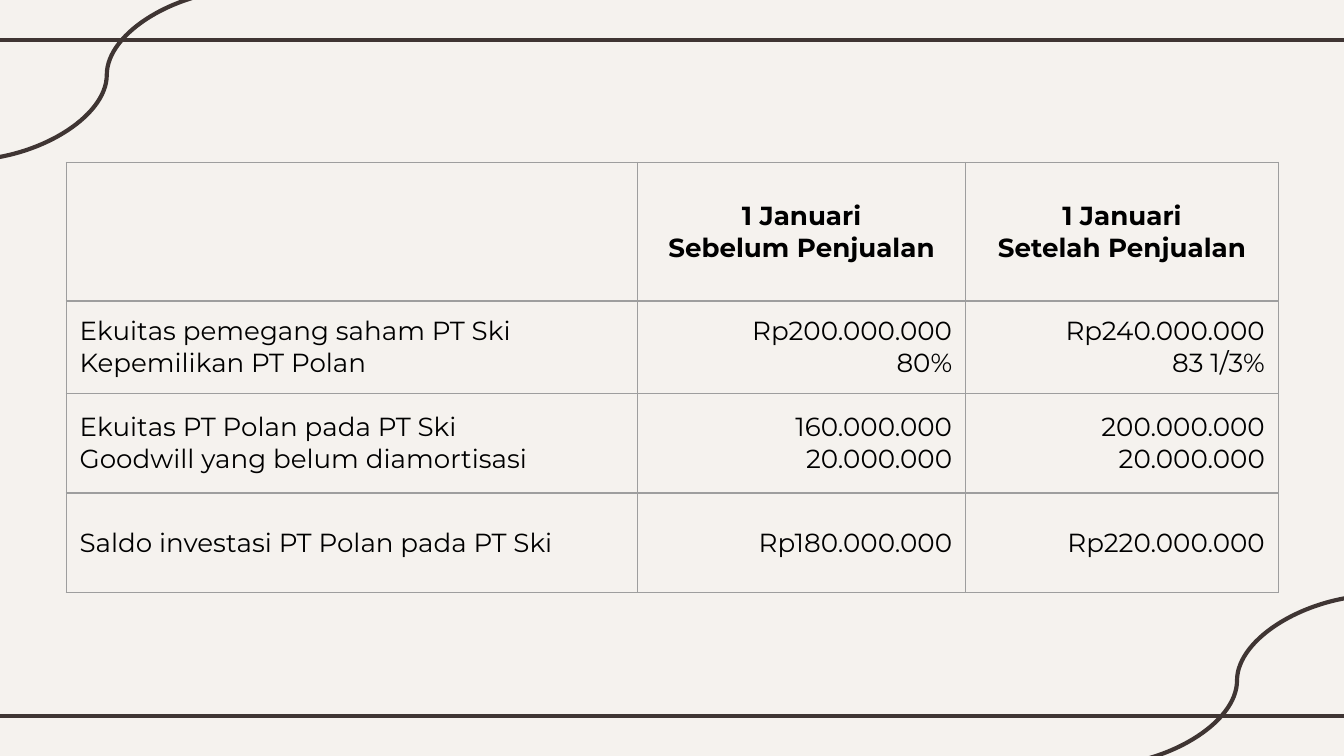
import pptx
import pptx.util
import pptx.dml.color
import pptx.enum.shapes
import pptx.enum.text
import pptx.oxml
import pptx.oxml.ns
import lxml.etree

Cm, Pt = pptx.util.Cm, pptx.util.Pt
CONNECTOR = pptx.enum.shapes.MSO_CONNECTOR
ALIGN = pptx.enum.text.PP_ALIGN

COLORS = {"paper": "F5F2EE", "stroke": "3F3533", "grid": "9E9E9E", "text": "000000"}
WIDTH, HEIGHT = 25.4, 14.29

COLUMN_WIDTHS = [10.8, 6.2, 5.91]
ROW_HEIGHTS = [2.62, 1.75, 1.88, 1.88]
ROWS = [
    [[], ["1 Januari", "Sebelum Penjualan"], ["1 Januari", "Setelah Penjualan"]],
    [["Ekuitas pemegang saham PT Ski", "Kepemilikan PT Polan"],
     ["Rp200.000.000", "80%"], ["Rp240.000.000", "83 1/3%"]],
    [["Ekuitas PT Polan pada PT Ski", "Goodwill yang belum diamortisasi"],
     ["160.000.000", "20.000.000"], ["200.000.000", "20.000.000"]],
    [["Saldo investasi PT Polan pada PT Ski"], ["Rp180.000.000"], ["Rp220.000.000"]],
]


def rgb(name):
    return pptx.dml.color.RGBColor.from_string(COLORS[name])


class SlideBuilder:
    font, size = "Montserrat", 14
    stroke_width, grid_width = 2.25, 0.75

    def __init__(self, slide):
        self.s = slide

    def background(self, color):
        fill = self.s.background.fill
        fill.solid()
        fill.fore_color.rgb = rgb(color)

    def connector(self, kind, x1, y1, x2, y2):
        sp = self.s.shapes.add_connector(kind, Cm(x1), Cm(y1), Cm(x2), Cm(y2))
        sp.line.color.rgb = rgb("stroke")
        sp.line.width = Pt(self.stroke_width)
        lxml.etree.SubElement(sp._element.spPr, pptx.oxml.ns.qn("a:effectLst"))

    def borders(self, cell):
        """Outline all four sides; the lines must precede the fill in tcPr."""
        tc_pr = cell._tc.get_or_add_tcPr()
        for i, side in enumerate("LRTB"):
            tc_pr.insert(i, pptx.oxml.parse_xml(
                f'<a:ln{side} {pptx.oxml.ns.nsdecls("a")} w="{Pt(self.grid_width)}">'
                f'<a:solidFill><a:srgbClr val="{COLORS["grid"]}"/></a:solidFill>'
                f'</a:ln{side}>'))

    def cell(self, cell, lines, align, bold):
        cell.fill.background()
        self.borders(cell)
        cell.vertical_anchor = pptx.enum.text.MSO_ANCHOR.MIDDLE
        tf = cell.text_frame
        for i, line in enumerate(lines):
            p = tf.add_paragraph() if i else tf.paragraphs[0]
            p.alignment = align
            r = p.add_run()
            r.text = line
            r.font.name, r.font.size, r.font.bold = self.font, Pt(self.size), bold
            r.font.color.rgb = rgb("text")

    def table(self, left, top, widths, heights, rows):
        """Bold centred header row, labels to the left, amounts to the right."""
        table = self.s.shapes.add_table(
            len(heights), len(widths), Cm(left), Cm(top),
            Cm(sum(widths)), Cm(sum(heights))).table
        table.first_row = table.horz_banding = False
        for column, width in zip(table.columns, widths):
            column.width = Cm(width)
        for i, (height, row) in enumerate(zip(heights, rows)):
            table.rows[i].height = Cm(height)
            for j, lines in enumerate(row):
                align = ALIGN.CENTER if i == 0 else ALIGN.RIGHT if j else ALIGN.LEFT
                self.cell(table.cell(i, j), lines, align, i == 0)


def main():
    prs = pptx.Presentation()
    prs.slide_width, prs.slide_height = Cm(WIDTH), Cm(HEIGHT)
    builder = SlideBuilder(prs.slides.add_slide(prs.slide_layouts[6]))
    builder.background("paper")
    for y in (0.76, 13.54):
        builder.connector(CONNECTOR.STRAIGHT, -0.2, y, WIDTH + 0.2, y)
    for right, top in ((26.06, 11.25), (4.7, -0.2)):
        builder.connector(CONNECTOR.CURVE, right, top, right - 5.36, top + 3.23)
    builder.table(1.25, 3.07, COLUMN_WIDTHS, ROW_HEIGHTS, ROWS)
    prs.save("out.pptx")


if __name__ == "__main__":
    main()
